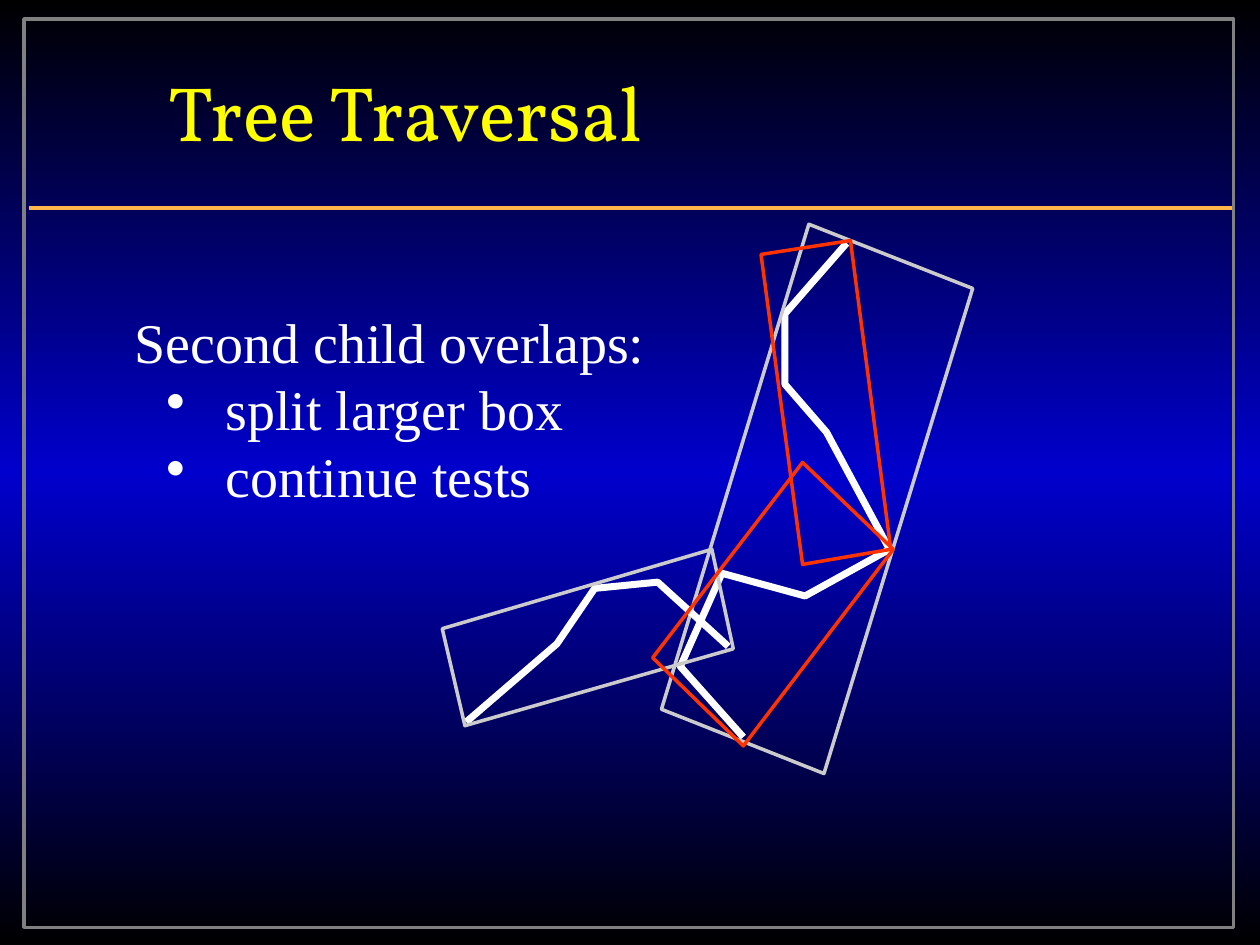
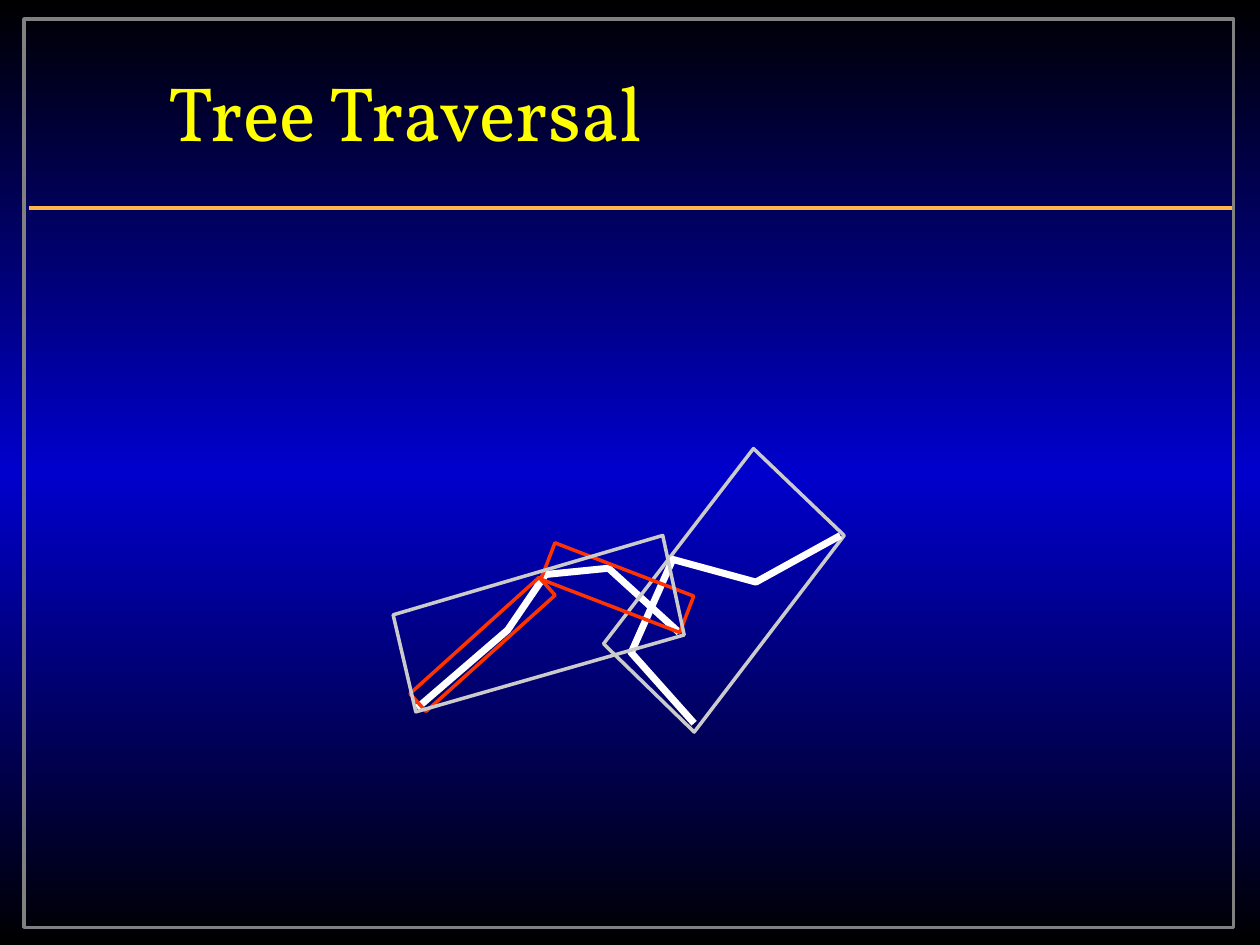
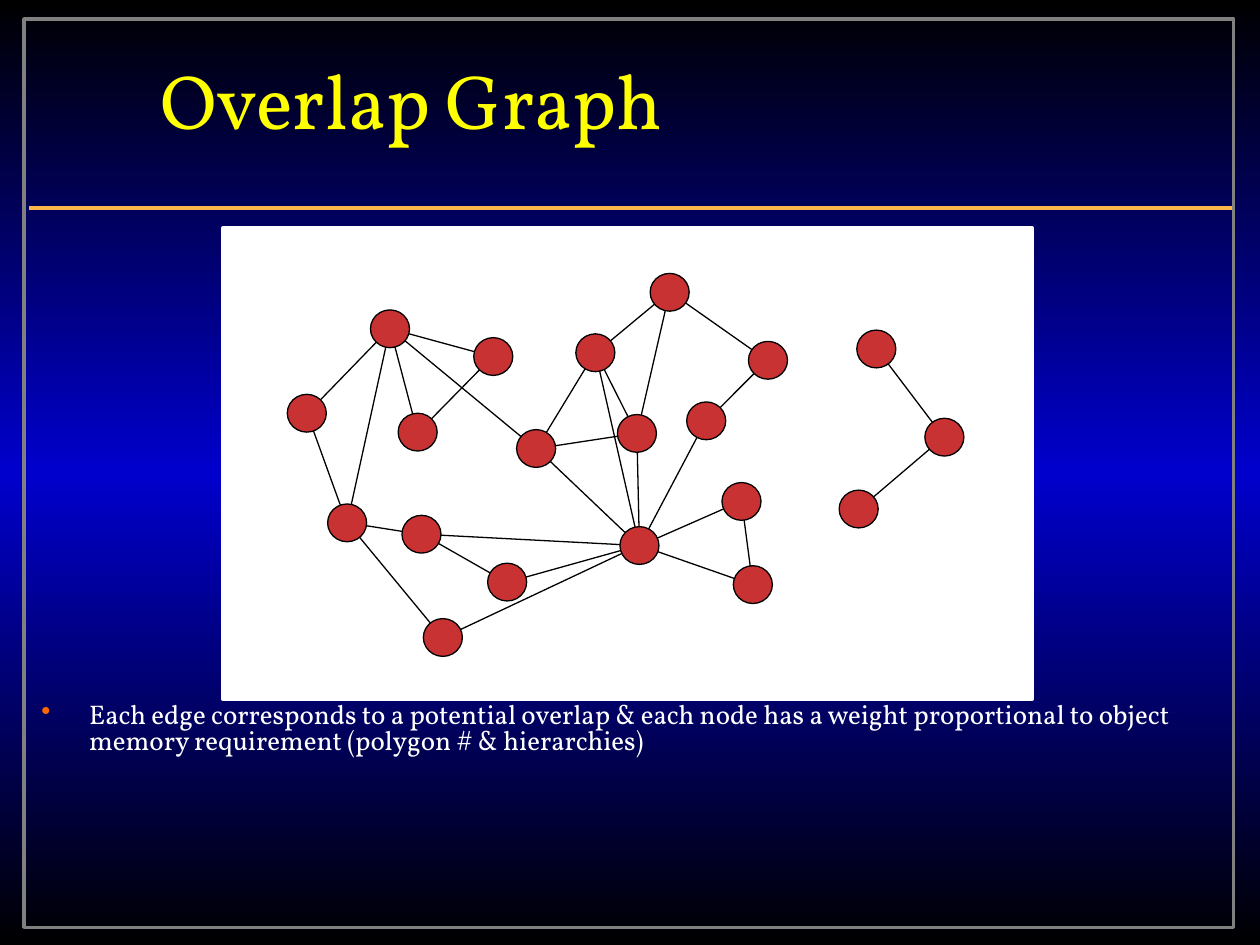
import math
from copy import deepcopy
from dataclasses import dataclass

from lxml import etree
from pptx import Presentation
from pptx import util as u
from pptx.dml.color import RGBColor
from pptx.enum import shapes as kinds, text
from pptx.oxml.ns import qn


@dataclass(frozen=True)
class Theme:
    night: str = "000000"
    blue: str = "0000CC"
    frame: str = "808080"
    rule: str = "FFB549"
    title: str = "FFFF00"
    white: str = "FFFFFF"
    parent_box: str = "CBCBCB"
    child_box: str = "FF3300"
    node: str = "C83232"
    edge: str = "000000"
    caption_bullet: str = "FF6600"
    display_font: str = "Vollkorn"
    body_font: str = "Times New Roman"
    title_size: float = 44
    body_size: float = 32
    caption_size: float = 15.4
    box_line: float = 2
    curve_line: float = 4
    edge_line: float = 0.75


THEME = Theme()

UPPER_CURVE = [(6.72, 1.93), (6.23, 2.49), (6.23, 3.05), (6.56, 3.43), (7.06, 4.36)]
LOWER_CURVE = [(7.06, 4.36), (6.39, 4.73), (5.73, 4.55), (5.4, 5.29), (5.9, 5.85)]
LEFT_CURVE = [(3.7, 5.73), (4.42, 5.11), (4.72, 4.67), (5.22, 4.62), (5.78, 5.13)]
RIGHT_BOX = [(6.42, 1.78), (7.72, 2.29), (6.54, 6.14), (5.25, 5.63)]
LEFT_BOX = [(5.65, 4.36), (5.82, 5.15), (3.69, 5.76), (3.51, 4.99)]
UPPER_BOX = [(6.04, 2.02), (6.75, 1.91), (7.07, 4.36), (6.37, 4.48)]
LOWER_BOX = [(6.37, 3.67), (7.09, 4.36), (5.9, 5.92), (5.18, 5.22)]
SECOND_STEP_SHIFT = (-0.39, -0.11)

NODE_WIDTH, NODE_HEIGHT = 0.31, 0.3
NODES = {
    "a": (2.94, 2.46), "b": (2.28, 3.13), "c": (3.16, 3.28), "d": (3.76, 2.68),
    "e": (4.1, 3.41), "f": (2.6, 4), "g": (3.19, 4.09), "h": (4.92, 4.18),
    "i": (5.73, 3.83), "j": (5.45, 3.19), "k": (5.94, 2.71), "l": (7.34, 3.32),
    "m": (6.66, 3.89), "n": (5.82, 4.49), "o": (3.87, 4.47), "p": (4.57, 2.65),
    "q": (6.8, 2.62), "r": (5.16, 2.17), "s": (4.9, 3.29), "t": (3.36, 4.91),
}
EDGES = ("ml ab ad ac ae af rs rp rk ql dc ps ph pe kj bf eh sh es jh "
         "fg gh go oh ih hn th in ft").split()


def inches(*values):
    return [u.Inches(value) for value in values]


def rgb(code):
    return RGBColor.from_string(code)


def set_line(shape, color, width):
    shape.line.color.rgb = rgb(color)
    shape.line.width = u.Pt(width)


def style(shape, line, width, fill=None):
    shape.shadow.inherit = False
    if fill:
        shape.fill.solid()
        shape.fill.fore_color.rgb = rgb(fill)
    else:
        shape.fill.background()
    set_line(shape, line, width)


def add_preset(shapes, preset, place, line, width, fill=None, rotation=0):
    shape = shapes.add_shape(preset, *inches(*place))
    shape.rotation = rotation
    style(shape, line, width, fill)


def add_line(shapes, start, end, color, width):
    line = shapes.add_connector(kinds.MSO_CONNECTOR.STRAIGHT, *inches(*start, *end))
    set_line(line, color, width)
    properties = line.element.find(qn("p:spPr"))
    etree.SubElement(properties, qn("a:effectLst"))


def add_outline(shapes, points, color, width, closed=False, shift=(0, 0)):
    moved = [inches(x + shift[0], y + shift[1]) for x, y in points]
    builder = shapes.build_freeform(*moved[0], scale=1.0)
    builder.add_line_segments(moved[1:], close=closed)
    style(builder.convert_to_shape(), color, width)


def add_curve(shapes, points, shift=(0, 0)):
    add_outline(shapes, points, THEME.white, THEME.curve_line, shift=shift)


def add_box(shapes, points, color, shift=(0, 0)):
    add_outline(shapes, points, color, THEME.box_line, closed=True, shift=shift)


def set_bullet(para, color, margin, hanging):
    properties = para._p.get_or_add_pPr()
    properties.set("marL", str(u.Inches(margin)))
    properties.set("indent", str(-u.Inches(hanging)))
    tint = etree.SubElement(properties, qn("a:buClr"))
    etree.SubElement(tint, qn("a:srgbClr"), val=color)
    etree.SubElement(properties, qn("a:buChar"), char="•")


def write(para, words, font, size, color, spacing=None, before=0, bullet=None):
    """Fill a paragraph; bullet is (colour, left margin, hanging indent)."""
    para.alignment = text.PP_ALIGN.LEFT
    para.space_before = u.Pt(before)
    if spacing:
        para.line_spacing = spacing
    if bullet:
        set_bullet(para, *bullet)
    span = para.add_run()
    span.text = words
    span.font.name = font
    span.font.size = u.Pt(size)
    span.font.color.rgb = rgb(color)


def add_text_box(page, place):
    frame = page.shapes.add_textbox(*inches(*place)).text_frame
    frame.word_wrap = True
    return frame


def paint_background(master):
    fill = master.background.fill
    fill.gradient()
    stops = master.element.find(".//" + qn("a:gsLst"))
    stops.insert(1, deepcopy(stops[0]))
    colors = (THEME.night, THEME.blue, THEME.night)
    for stop, position, color in zip(fill.gradient_stops, (0, 0.5, 1), colors):
        stop.position = position
        stop.color.rgb = rgb(color)
    fill.gradient_angle = 90


def add_page(deck, title, title_place):
    page = deck.slides.add_slide(deck.slide_layouts[5])
    holder = page.shapes.title
    holder.left, holder.top, holder.width, holder.height = inches(*title_place)
    frame = holder.text_frame
    frame.auto_size = text.MSO_AUTO_SIZE.NONE
    frame.vertical_anchor = text.MSO_ANCHOR.MIDDLE
    write(frame.paragraphs[0], title, THEME.display_font, THEME.title_size, THEME.title)
    add_preset(page.shapes, kinds.MSO_SHAPE.RECTANGLE, (0.19, 0.15, 9.6, 7.21),
               THEME.frame, THEME.box_line)
    add_line(page.shapes, (0.23, 1.65), (9.78, 1.65), THEME.rule, THEME.box_line)
    return page


def add_traversal_page(deck):
    return add_page(deck, "Tree Traversal", (1.24, 0.25, 7.42, 1.25))


def build_split_page(deck):
    page = add_traversal_page(deck)
    drawing = page.shapes.add_group_shape().shapes
    add_curve(drawing, UPPER_CURVE + LOWER_CURVE[1:])
    add_box(drawing, RIGHT_BOX, THEME.parent_box)
    add_curve(drawing, LEFT_CURVE)
    add_box(drawing, LEFT_BOX, THEME.parent_box)
    add_box(drawing, UPPER_BOX, THEME.child_box)
    add_box(drawing, LOWER_BOX, THEME.child_box)

    frame = add_text_box(page, (0.97, 2.39, 4.25, 1.7))
    body = dict(font=THEME.body_font, size=THEME.body_size, color=THEME.white,
                spacing=u.Pt(38.4))
    write(frame.paragraphs[0], "Second child overlaps:", **body)
    for words in ("split larger box", "continue tests"):
        write(frame.add_paragraph(), words, bullet=(THEME.white, 0.72, 0.47), **body)


def build_next_split_page(deck):
    page = add_traversal_page(deck)
    drawing = page.shapes.add_group_shape().shapes
    add_curve(drawing, LEFT_CURVE, SECOND_STEP_SHIFT)
    add_box(drawing, LOWER_BOX, THEME.parent_box, SECOND_STEP_SHIFT)
    add_curve(drawing, LOWER_CURVE, SECOND_STEP_SHIFT)
    for place, rotation in (((3.14, 5.02, 1.38, 0.19), 318), ((4.31, 4.51, 1.18, 0.31), 21)):
        add_preset(drawing, kinds.MSO_SHAPE.RECTANGLE, place, THEME.child_box,
                   THEME.box_line, rotation=rotation)
    add_box(drawing, LEFT_BOX, THEME.parent_box, SECOND_STEP_SHIFT)


def add_edge(shapes, start, end):
    """Join two nodes from rim to rim."""
    (x1, y1), (x2, y2) = [(NODES[name][0] + NODE_WIDTH / 2, NODES[name][1] + NODE_HEIGHT / 2)
                          for name in (start, end)]
    angle = math.atan2(y2 - y1, x2 - x1)
    dx, dy = NODE_WIDTH / 2 * math.cos(angle), NODE_HEIGHT / 2 * math.sin(angle)
    add_line(shapes, (x1 + dx, y1 + dy), (x2 - dx, y2 - dy), THEME.edge, THEME.edge_line)


def build_graph_page(deck):
    page = add_page(deck, "Overlap Graph", (1.17, 0.32, 7.97, 0.93))
    add_preset(page.shapes, kinds.MSO_SHAPE.RECTANGLE, (1.77, 1.81, 6.42, 3.74),
               THEME.white, 2.25, fill=THEME.white)
    graph = page.shapes.add_group_shape().shapes
    for start, end in EDGES:
        add_edge(graph, start, end)
    for corner in NODES.values():
        add_preset(graph, kinds.MSO_SHAPE.OVAL, (*corner, NODE_WIDTH, NODE_HEIGHT),
                   THEME.edge, THEME.edge_line, fill=THEME.node)

    caption = add_text_box(page, (0.23, 5.54, 9.54, 0.64))
    write(caption.paragraphs[0],
          "Each edge corresponds to a potential overlap & each node has a weight "
          "proportional to object memory requirement (polygon # & hierarchies)",
          THEME.display_font, THEME.caption_size, THEME.white,
          spacing=0.8, before=7, bullet=(THEME.caption_bullet, 0.38, 0.38))


def main():
    deck = Presentation()
    deck.slide_width, deck.slide_height = inches(10, 7.5)
    paint_background(deck.slide_master)
    build_split_page(deck)
    build_next_split_page(deck)
    build_graph_page(deck)
    deck.save("out.pptx")


if __name__ == "__main__":
    main()
